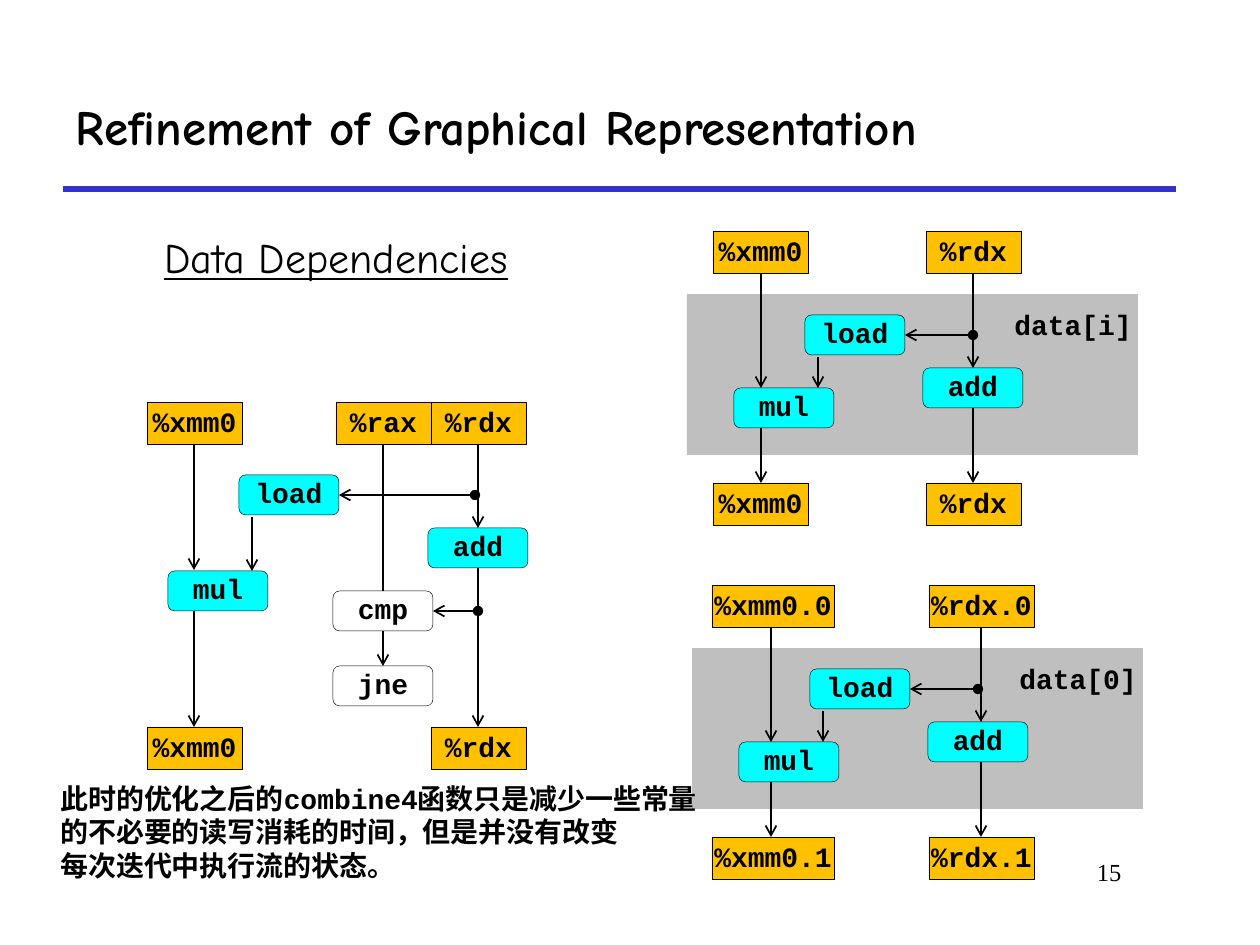
"""Build the slide on refining the graphical representation of data dependencies."""
from lxml import etree
from pptx import Presentation
from pptx.dml.color import RGBColor
from pptx.enum.shapes import MSO_CONNECTOR, MSO_SHAPE
from pptx.enum.text import MSO_ANCHOR, PP_ALIGN
from pptx.oxml.ns import qn
from pptx.util import Pt

PX = 914400 // 126
RECT, ROUNDED = MSO_SHAPE.RECTANGLE, MSO_SHAPE.ROUNDED_RECTANGLE
STRAIGHT = MSO_CONNECTOR.STRAIGHT
TOP, MIDDLE = MSO_ANCHOR.TOP, MSO_ANCHOR.MIDDLE
LEFT, CENTER, RIGHT = PP_ALIGN.LEFT, PP_ALIGN.CENTER, PP_ALIGN.RIGHT
BLACK = RGBColor(0x00, 0x00, 0x00)
WHITE = RGBColor(0xFF, 0xFF, 0xFF)
BLUE = RGBColor(0x33, 0x33, 0xCC)
ORANGE = RGBColor(0xFF, 0xC0, 0x00)
CYAN = RGBColor(0x00, 0xFF, 0xFF)
GRAY = RGBColor(0xBF, 0xBF, 0xBF)
HEADING, CODE, SERIF = "Comic Neue", "Courier New", "Times New Roman"

REGISTER_W, REGISTER_H = 95, 42
OPERATION_W, OPERATION_H = 100, 40

TITLE = "Refinement of Graphical Representation"
SUBTITLE = "Data Dependencies"
PAGE = "15"
REMARK = [
    "此时的优化之后的combine4函数只是减少一些常量",
    "的不必要的读写消耗的时间，但是并没有改变",
    "每次迭代中执行流的状态。",
]

LOOP_REGISTERS = [
    ("%xmm0", 147, 402), ("%rax", 336, 402), ("%rdx", 431, 402),
    ("%xmm0", 147, 727), ("%rdx", 431, 727),
]
LOOP_OPERATIONS = [
    ("load", 239, 475, CYAN), ("mul", 168, 571, CYAN), ("add", 428, 528, CYAN),
    ("cmp", 333, 591, WHITE), ("jne", 333, 666, WHITE),
]
LOOP_FLOWS = [
    (194, 611, 194, 727, None, "arrow"),
    (383, 444, 383, 591, None, None),
    (478, 611, 433, 611, "oval", "arrow"),
    (475, 495, 339, 495, "oval", "arrow"),
    (478, 444, 478, 528, None, "arrow"),
    (478, 568, 478, 727, None, "arrow"),
    (383, 631, 383, 666, None, "arrow"),
    (194, 444, 194, 570, None, "arrow"),
    (252, 517, 252, 571, None, "arrow"),
]

PANELS = [
    {"origin": (687, 294), "data": "data[i]", "xmm": (713, 95, 761),
     "rdx": (926, 95, 973), "before": ("%xmm0", "%rdx"), "after": ("%xmm0", "%rdx")},
    {"origin": (692, 648), "data": "data[0]", "xmm": (712, 122, 771),
     "rdx": (929, 105, 981), "before": ("%xmm0.0", "%rdx.0"),
     "after": ("%xmm0.1", "%rdx.1")},
]
PANEL_W, PANEL_H = 451, 161
PANEL_OPERATIONS = [("load", 118, 21), ("mul", 47, 94), ("add", 236, 74)]
BEFORE_Y, AFTER_Y = -63, 189


def px(*lengths):
    return [length * PX for length in lengths]


def write(frame, lines, size, font, bold=False, align=LEFT, anchor=TOP, spacing=1.0):
    frame.text = "\n".join(lines)
    frame.word_wrap = True
    frame.vertical_anchor = anchor
    for paragraph in frame.paragraphs:
        paragraph.alignment = align
        paragraph.line_spacing = spacing
        paragraph.font.size = Pt(size)
        paragraph.font.name = font
        paragraph.font.bold = bold
        paragraph.font.color.rgb = BLACK


def add_label(slide, box, lines, size, font, **style):
    frame = slide.shapes.add_textbox(*px(*box)).text_frame
    write(frame, lines, size, font, **style)
    return frame


def add_block(slide, kind, box, fill):
    block = slide.shapes.add_shape(kind, *px(*box))
    block.shadow.inherit = False
    block.fill.solid()
    block.fill.fore_color.rgb = fill
    block.line.fill.background()
    return block


def add_node(slide, kind, box, name, fill):
    node = add_block(slide, kind, box, fill)
    node.line.color.rgb = BLACK
    node.line.width = Pt(0.25)
    frame = node.text_frame
    frame.margin_left = frame.margin_right = frame.margin_top = frame.margin_bottom = 0
    write(frame, [name], 16, CODE, bold=True, align=CENTER, anchor=MIDDLE, spacing=0.9)
    frame.word_wrap = False


def add_register(slide, name, x, y, width=REGISTER_W):
    add_node(slide, RECT, (x, y, width, REGISTER_H), name, ORANGE)


def add_operation(slide, name, x, y, fill=CYAN):
    add_node(slide, ROUNDED, (x, y, OPERATION_W, OPERATION_H), name, fill)


def add_flow(slide, x1, y1, x2, y2, head=None, tail="arrow", color=BLACK, width=1):
    flow = slide.shapes.add_connector(STRAIGHT, *px(x1, y1, x2, y2))
    flow.line.color.rgb = color
    flow.line.width = Pt(width)
    outline = flow.line._get_or_add_ln()
    for tag, end in (("a:headEnd", head), ("a:tailEnd", tail)):
        if end:
            etree.SubElement(outline, qn(tag), type=end)
    etree.SubElement(flow._element.spPr, qn("a:effectLst"))


def add_loop(slide):
    for register in LOOP_REGISTERS:
        add_register(slide, *register)
    for operation in LOOP_OPERATIONS:
        add_operation(slide, *operation)
    for flow in LOOP_FLOWS:
        add_flow(slide, *flow)


def add_panel(slide, panel):
    left, top = panel["origin"]
    add_block(slide, RECT, (left, top, PANEL_W, PANEL_H), GRAY)
    for names, y in ((panel["before"], BEFORE_Y), (panel["after"], AFTER_Y)):
        for name, (x, width, _) in zip(names, (panel["xmm"], panel["rdx"])):
            add_register(slide, name, x, top + y, width)
    for name, x, y in PANEL_OPERATIONS:
        add_operation(slide, name, left + x, top + y)

    start, end = top + BEFORE_Y + REGISTER_H, top + AFTER_Y
    for column, operation_y in ((panel["xmm"], 94), (panel["rdx"], 74)):
        x = column[2]
        add_flow(slide, x, start, x, top + operation_y)
        add_flow(slide, x, top + operation_y + OPERATION_H, x, end)
    add_flow(slide, left + 286, top + 41, left + 218, top + 41, head="oval")
    add_flow(slide, left + 131, top + 63, left + 131, top + 94)
    add_label(slide, (left + 315, top + 11, 152, 43), [panel["data"]], 16, CODE,
              bold=True, spacing=0.9)


def main():
    deck = Presentation()
    deck.slide_width, deck.slide_height = px(1260, 945)
    slide = deck.slides.add_slide(deck.slide_layouts[5])

    title = slide.shapes.title
    title.left, title.top, title.width, title.height = px(63, 63, 1113, 126)
    write(title.text_frame, [TITLE], 28, HEADING, bold=True, anchor=MIDDLE)
    add_flow(slide, 63, 189, 1176, 189, tail=None, color=BLUE, width=3)
    add_label(slide, (955, 851, 179, 63), [PAGE], 14, SERIF, align=RIGHT)
    subtitle = add_label(slide, (84, 231, 504, 59), [SUBTITLE], 24, HEADING,
                         align=CENTER, spacing=0.9)
    subtitle.paragraphs[0].font.underline = True

    add_loop(slide)
    for panel in PANELS:
        add_panel(slide, panel)
    add_label(slide, (48, 775, 667, 145), REMARK, 16, CODE, bold=True)
    deck.save("out.pptx")


if __name__ == "__main__":
    main()
